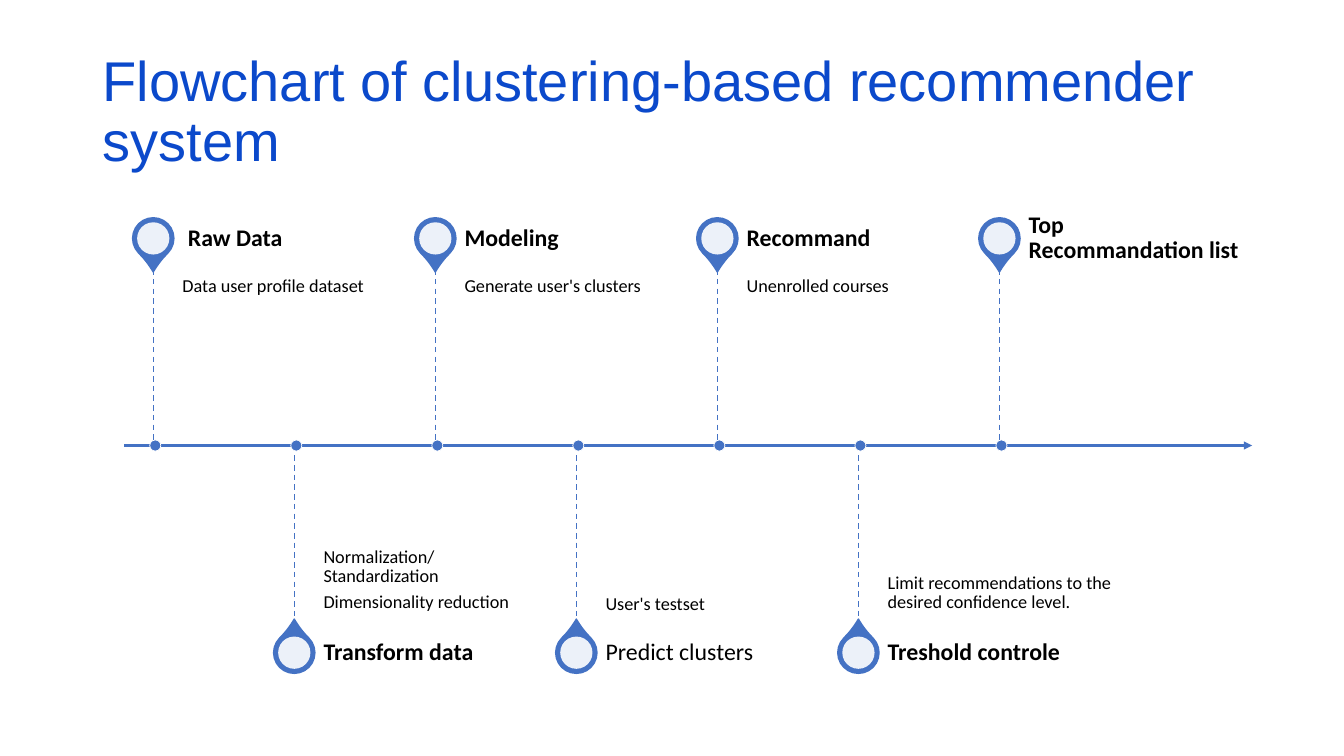
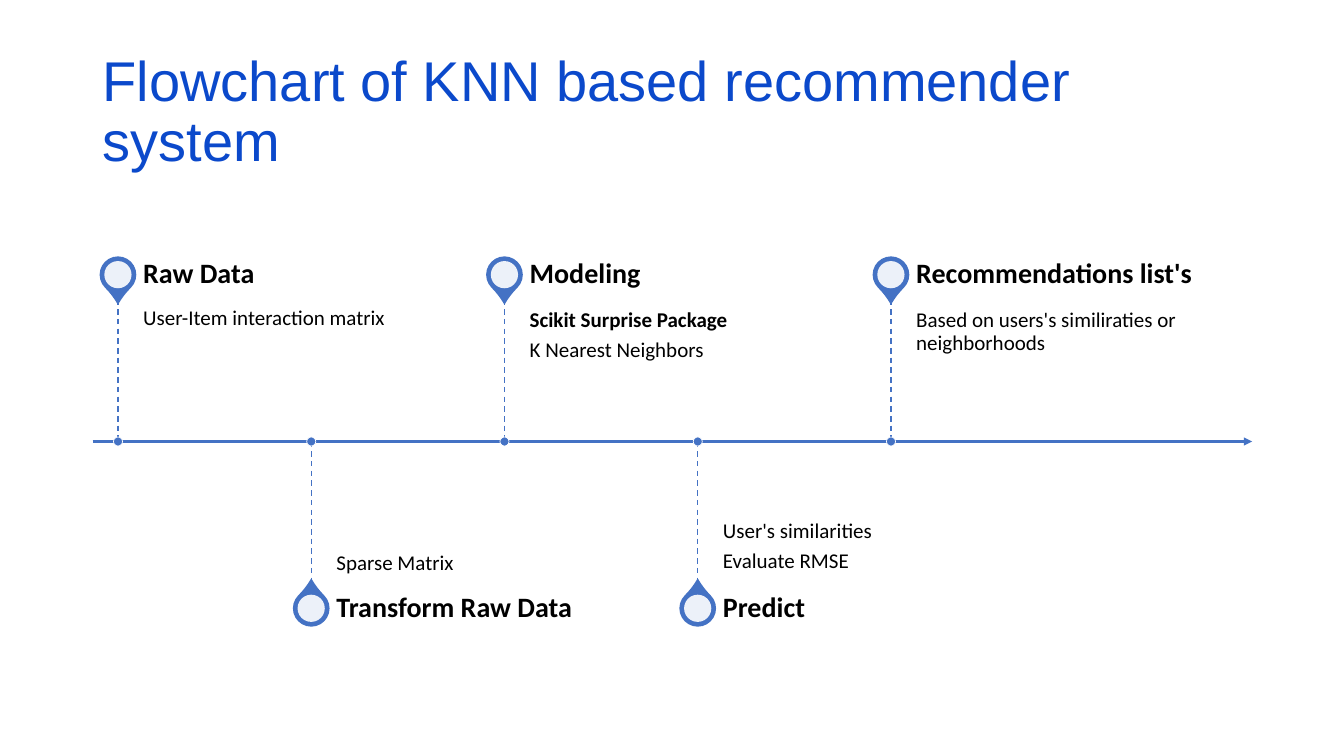
from dataclasses import dataclass

from lxml.etree import SubElement
from pptx import Presentation
from pptx.dml.color import RGBColor
from pptx.enum.dml import MSO_LINE
from pptx.enum.shapes import MSO_CONNECTOR, MSO_SHAPE
from pptx.enum.text import MSO_ANCHOR
from pptx.oxml.ns import qn
from pptx.util import Pt

SCALE = 9144


@dataclass(frozen=True)
class Theme:
    ink: RGBColor = RGBColor(0, 0, 0)
    blue: RGBColor = RGBColor(0x44, 0x72, 0xC4)
    royal: RGBColor = RGBColor(0x0B, 0x49, 0xCB)
    white: RGBColor = RGBColor(255, 255, 255)
    title: int = 40
    title_font: str = "Arial"
    font: str = "Calibri"
    spacing: float = 0.9
    gap: float = 0.35
    axis: float = 1.5
    rim: float = 1
    edge: float = 0.5


@dataclass(frozen=True)
class Plan:
    head: int
    arm: int
    pad: int
    wide: int
    pin: int
    hole: int
    dot: int
    shift: int
    near: int
    far: int
    right: int
    big: int
    small: int


THEME = Theme()


def px(value):
    return round(value * SCALE)


def apply(target, values):
    for name, value in values.items():
        setattr(target, name, value)


def add_text(slide, box, lines, size, color=THEME.ink, font=THEME.font,
             gap=THEME.gap, anchor=MSO_ANCHOR.TOP, insets=(0, 0, 0, 0)):
    frame = slide.shapes.add_textbox(*map(px, box)).text_frame
    sides = ("margin_left", "margin_top", "margin_right", "margin_bottom")
    apply(frame, {"word_wrap": True, "vertical_anchor": anchor,
                  **dict(zip(sides, map(px, insets)))})
    for index, (text, bold) in enumerate(lines):
        para = frame.add_paragraph() if index else frame.paragraphs[0]
        apply(para, {"line_spacing": THEME.spacing, "space_after": Pt(size * gap)})
        run = para.add_run()
        run.text = text
        apply(run.font, {"name": font, "size": Pt(size), "bold": bold})
        run.font.color.rgb = color


def add_disc(slide, kind, mid, size, fill, edge=None, weight=0):
    x, y = mid
    shape = slide.shapes.add_shape(
        kind, px(x - size / 2), px(y - size / 2), px(size), px(size))
    shape.shadow.inherit = False
    shape.fill.solid()
    shape.fill.fore_color.rgb = fill
    if edge is None:
        shape.line.fill.background()
    else:
        shape.line.color.rgb = edge
        shape.line.width = Pt(weight)
    return shape


def add_line(slide, start, end, weight):
    line = slide.shapes.add_connector(
        MSO_CONNECTOR.STRAIGHT, *map(px, (*start, *end)))
    line.line.color.rgb = THEME.blue
    line.line.width = Pt(weight)
    SubElement(line.element.spPr, qn("a:effectLst"))
    return line


def add_pin(slide, mid, plan, turn):
    drop = add_disc(slide, MSO_SHAPE.TEAR, mid, plan.pin,
                    THEME.blue, THEME.blue, THEME.rim)
    drop.adjustments[0] = 1.15
    drop.rotation = turn
    hole = add_disc(slide, MSO_SHAPE.OVAL, mid, plan.hole, THEME.white)
    tint = hole.element.spPr.find(qn("a:solidFill"))[0]
    SubElement(tint, qn("a:alpha"), val="90000")


def add_step(slide, x, top, plan, above, head, notes):
    axis = top + plan.head + plan.arm
    left = x + plan.pad
    if above:
        label, body, turn = top, top + plan.head, 135
        end, anchor = body, MSO_ANCHOR.TOP
        insets = (0, plan.near, plan.right, plan.far)
    else:
        label, body, turn = axis + plan.arm, axis, 315
        end, anchor = label, MSO_ANCHOR.BOTTOM
        insets = (0, plan.far, 0, plan.near)
    add_pin(slide, (x, label + plan.head / 2), plan, turn)
    if notes:
        add_text(slide, (left, body, plan.wide, plan.arm), notes, plan.small,
                 anchor=anchor, insets=insets)
    add_text(slide, (left, label, plan.wide, plan.head), [head], plan.big,
             anchor=MSO_ANCHOR.MIDDLE, insets=(0, 0, plan.right + 3, 0))
    stem = add_line(slide, (x, min(end, axis)), (x, max(end, axis)), THEME.rim)
    stem.line.dash_style = MSO_LINE.DASH
    add_disc(slide, MSO_SHAPE.OVAL, (x + plan.shift, axis), plan.dot,
             THEME.blue, THEME.white, THEME.edge)


def add_flow(slide, box, plan, steps):
    left, top, width = box
    axis = top + plan.head + plan.arm
    arrow = add_line(slide, (left, axis), (left + width, axis), THEME.axis)
    SubElement(arrow.line._get_or_add_ln(), qn("a:tailEnd"), type="triangle")
    pitch = width / (len(steps) + 1)
    for index, (head, notes) in enumerate(steps):
        x = left + plan.pad + index * pitch
        add_step(slide, x, top, plan, index % 2 == 0, head, notes)


def add_page(deck, title, box, plan, steps):
    slide = deck.slides.add_slide(deck.slide_layouts[6])
    add_text(slide, (92, 40, 1150, 145), [(title, False)], THEME.title,
             THEME.royal, THEME.title_font, 0, MSO_ANCHOR.MIDDLE, (10, 5, 10, 5))
    add_flow(slide, box, plan, steps)


CLUSTER = [
    ((" Raw Data", True), [("Data user profile dataset", False)]),
    (("Transform data", True), [("Normalization/Standardization", False),
                                ("Dimensionality reduction", False)]),
    (("Modeling", True), [("Generate user's clusters", False)]),
    (("Predict clusters", False), [("User's testset", False)]),
    (("Recommand", True), [("Unenrolled courses", False)]),
    (("Treshold controle", True),
     [("Limit recommendations to the desired confidence level.", False)]),
    (("Top Recommandation list", True), []),
]

NEAREST = [
    (("Raw Data", True), [("User-Item interaction matrix", False)]),
    (("Transform Raw Data", True), [("Sparse Matrix", False)]),
    (("Modeling", True), [("Scikit Surprise Package", True),
                          ("K Nearest Neighbors", False)]),
    (("Predict", True), [("User's similarities", False),
                         ("Evaluate RMSE", False)]),
    (("Recommendations list's", True),
     [("Based on users's similiraties or neighborhoods", False)]),
]

DENSE = Plan(head=61, arm=175, pad=29, wide=222, pin=41, hole=32, dot=11,
             shift=2, near=9, far=14, right=9, big=17, small=13)
LOOSE = Plan(head=49, arm=141, pad=25, wide=319, pin=35, hole=27, dot=9,
             shift=0, near=10, far=16, right=10, big=20, small=15)


def main():
    deck = Presentation()
    apply(deck, {"slide_width": px(1333), "slide_height": px(750)})
    add_page(deck, "Flowchart of clustering-based recommender system",
             (123, 206, 1119), DENSE, CLUSTER)
    add_page(deck, "Flowchart of KNN based recommender system",
             (92, 248, 1150), LOOSE, NEAREST)
    deck.save("out.pptx")


if __name__ == "__main__":
    main()
